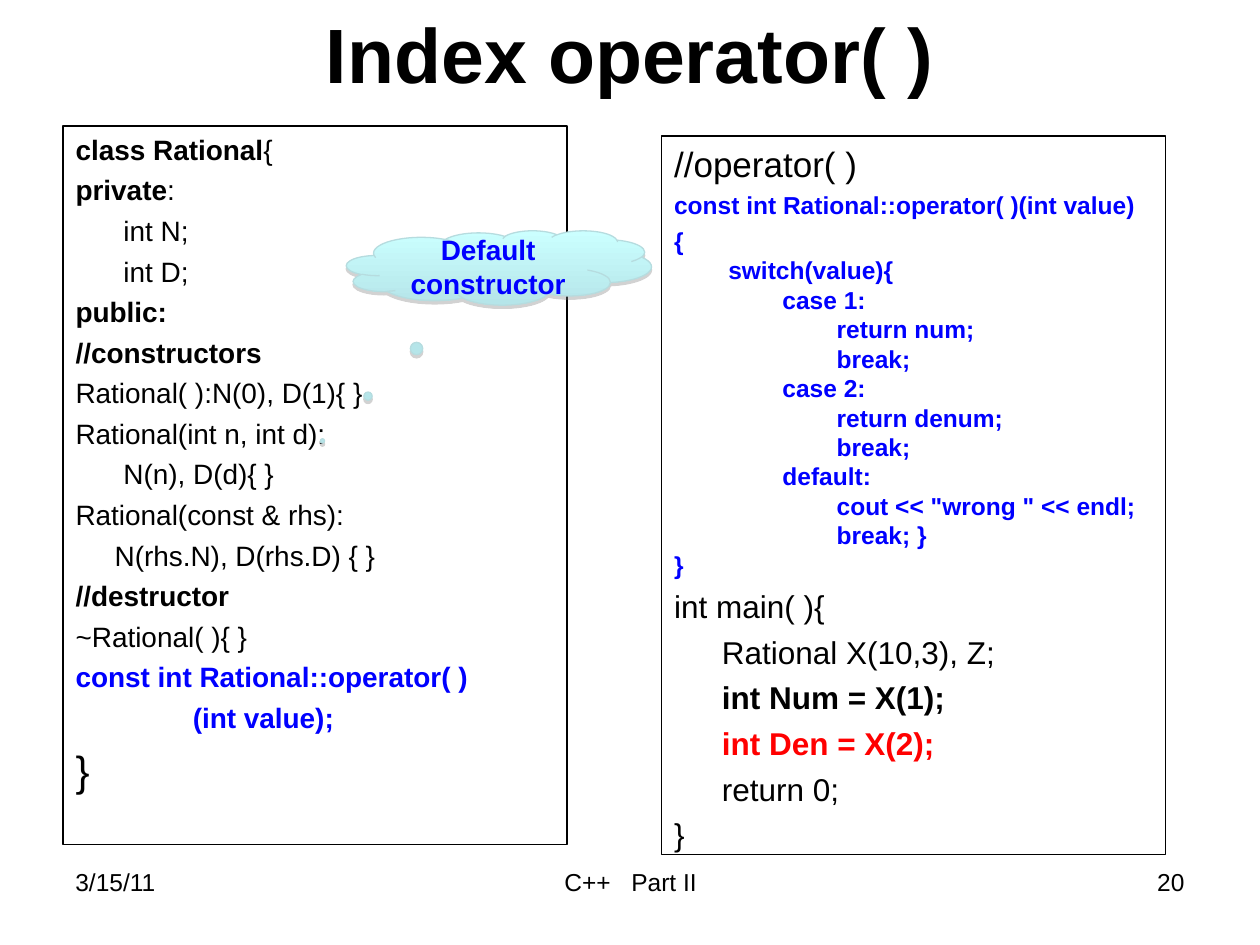
"""Build the slide on the C++ index operator."""
from dataclasses import dataclass

from lxml import etree
from pptx import Presentation
from pptx import util as u
from pptx.dml.color import RGBColor
from pptx.enum import dml, shapes, text
from pptx.oxml import ns


@dataclass(frozen=True)
class Theme:
    font: str = "Arial"
    ink: str = "000000"
    blue: str = "0000FF"
    red: str = "FF0000"
    cloud: tuple = ("CBFFFF", "B5E5E9")
    cloud_line: str = "B6DCDF"
    shadow: str = "808080"
    title: int = 44
    small: int = 14
    label: int = 16
    code: int = 18
    head: int = 20
    brace: int = 24


class Deck:
    def __init__(self, theme):
        self.theme = theme
        self.prs = Presentation()
        self.prs.slide_width, self.prs.slide_height = u.Inches(10), u.Inches(7.5)
        self.slide = self.prs.slides.add_slide(self.prs.slide_layouts[3])

    def place(self, sp, box):
        for name, value in zip(("left", "top", "width", "height"), box):
            setattr(sp, name, u.Inches(value))

    def frame(self, sp, anchor):
        tf = sp.text_frame
        values = {"word_wrap": True, "auto_size": text.MSO_AUTO_SIZE.NONE,
                  "vertical_anchor": anchor,
                  "margin_left": u.Inches(0.1), "margin_right": u.Inches(0.1),
                  "margin_top": u.Inches(0.05), "margin_bottom": u.Inches(0.05)}
        for name, value in values.items():
            setattr(tf, name, value)
        return tf

    def run(self, p, words, size, color=None, bold=False):
        r = p.add_run()
        r.text = words
        values = {"name": self.theme.font, "size": u.Pt(size), "bold": bold}
        for name, value in values.items():
            setattr(r.font, name, value)
        r.font.color.rgb = RGBColor.from_string(color or self.theme.ink)
        return r

    def outline(self, sp, color):
        sp.line.color.rgb = RGBColor.from_string(color)
        sp.line.width = u.Pt(0.75)

    def title(self, words, box):
        sp = self.slide.shapes.title
        self.place(sp, box)
        p = self.frame(sp, text.MSO_ANCHOR.MIDDLE).paragraphs[0]
        p.alignment = text.PP_ALIGN.CENTER
        self.run(p, words, self.theme.title, bold=True)

    def listing(self, index, box, lines, styles):
        sp = self.slide.placeholders[index]
        self.place(sp, box)
        self.outline(sp, self.theme.ink)
        tf = self.frame(sp, text.MSO_ANCHOR.TOP)
        for i, (style, indent, *parts) in enumerate(lines):
            p = tf.add_paragraph() if i else tf.paragraphs[0]
            size, before, color, bold = styles[style]
            p.space_before = u.Pt(before)
            pPr = p._p.get_or_add_pPr()
            pPr.set("marL", str(u.Inches(indent)))
            pPr.set("indent", "0")
            etree.SubElement(pPr, ns.qn("a:buNone"))
            for j, words in enumerate(parts):
                self.run(p, words, size, color, bold and j == 0)

    def footer(self, box, align, *parts, gap=0):
        sp = self.slide.shapes.add_textbox(*map(u.Inches, box))
        p = self.frame(sp, text.MSO_ANCHOR.TOP).paragraphs[0]
        p.alignment = align
        for i, words in enumerate(parts):
            if i:
                space = self.run(p, " ", self.theme.small)
                space._r.get_or_add_rPr().set("spc", str(gap))
            self.run(p, words, self.theme.small)

    def cloud(self, words, box, tail):
        th = self.theme
        sp = self.slide.shapes.add_shape(
            shapes.MSO_SHAPE.CLOUD_CALLOUT, *map(u.Inches, box))
        for i, value in enumerate(tail):
            sp.adjustments[i] = value
        sp.fill.gradient()
        sp.fill.gradient_angle = 270
        for stop, color, position in zip(sp.fill.gradient_stops, th.cloud, (0, 1)):
            stop.color.rgb = RGBColor.from_string(color)
            stop.position = position
        self.outline(sp, th.cloud_line)
        sp.line.dash_style = dml.MSO_LINE.SOLID
        self.shadow(sp)
        p = self.frame(sp, text.MSO_ANCHOR.MIDDLE).paragraphs[0]
        p.alignment = text.PP_ALIGN.CENTER
        self.run(p, words, th.label, th.blue, True)

    def shadow(self, sp):
        sp.shadow.inherit = False
        effects = sp._element.spPr.find(ns.qn("a:effectLst"))
        outer = etree.SubElement(effects, ns.qn("a:outerShdw"), blurRad="0",
                                 dist=str(u.Pt(1.8)), dir="5400000", rotWithShape="0")
        color = etree.SubElement(outer, ns.qn("a:srgbClr"), val=self.theme.shadow)
        etree.SubElement(color, ns.qn("a:alpha"), val="35000")


def main():
    th = Theme()
    deck = Deck(th)
    deck.title("Index operator( )", (0.5, 0, 9, 0.83))

    tab, step = 0.38, 0.43
    class_styles = {
        "plain": (th.label, 4, th.ink, False),
        "bold": (th.label, 4, th.ink, True),
        "new": (th.label, 4, th.blue, True),
        "brace": (th.brace, 6, th.ink, False),
    }
    class_lines = [
        ("bold", 0, "class Rational", "{"),
        ("bold", 0, "private", ":"),
        ("plain", tab, "int N;"),
        ("plain", tab, "int D;"),
        ("bold", 0, "public:"),
        ("bold", 0, "//constructors"),
        ("plain", 0, "Rational( ):N(0), D(1){ }"),
        ("plain", 0, "Rational(int n, int d):"),
        ("plain", tab, "N(n), D(d){ }"),
        ("plain", 0, "Rational(const & rhs):"),
        ("plain", 0.31, "N(rhs.N), D(rhs.D) { }"),
        ("bold", 0, "//destructor"),
        ("plain", 0, "~Rational( ){ }"),
        ("new", 0, "const int Rational::operator( )"),
        ("new", 0.93, "(int value);"),
        ("brace", 0, "}"),
    ]
    deck.listing(1, (0.5, 1, 4, 5.7), class_lines, class_styles)

    use_styles = {
        "head": (th.head, 5, th.ink, False),
        "open": (th.small, 3.5, th.blue, True),
        "body": (th.small, 0, th.blue, True),
        "main": (th.code, 4.5, th.ink, False),
        "bold": (th.code, 4.5, th.ink, True),
        "red": (th.code, 4.5, th.red, True),
    }
    body = [(1, "switch(value){"), (2, "case 1:"), (3, "return num;"), (3, "break;"),
            (2, "case 2:"), (3, "return denum;"), (3, "break;"), (2, "default:"),
            (3, 'cout << "wrong " << endl;'), (3, "break; }"), (0, "}")]
    use_lines = [
        ("head", 0, "//operator( )"),
        ("open", 0, "const int Rational::operator( )(int value)"),
        ("open", 0, "{"),
        *(("body", level * step, words) for level, words in body),
        ("main", 0, "int main( ){"),
        ("main", tab, "Rational X(10,3), Z;"),
        ("bold", tab, "int Num = X(1);"),
        ("red", tab, "int Den = X(2);"),
        ("main", tab, "return 0;"),
        ("main", 0, "}"),
    ]
    deck.listing(2, (5.25, 1.08, 4, 5.7), use_lines, use_styles)

    align = text.PP_ALIGN
    deck.footer((0.5, 6.83, 2.33, 0.52), align.LEFT, "3/15/11")
    deck.footer((3.42, 6.83, 3.17, 0.52), align.CENTER, "C++", "Part II", gap=780)
    deck.footer((7.17, 6.83, 2.33, 0.52), align.RIGHT, "20")
    deck.cloud("Default constructor", (2.75, 1.83, 2.42, 0.59), (-0.579, 2.329))
    deck.prs.save("out.pptx")


if __name__ == "__main__":
    main()
